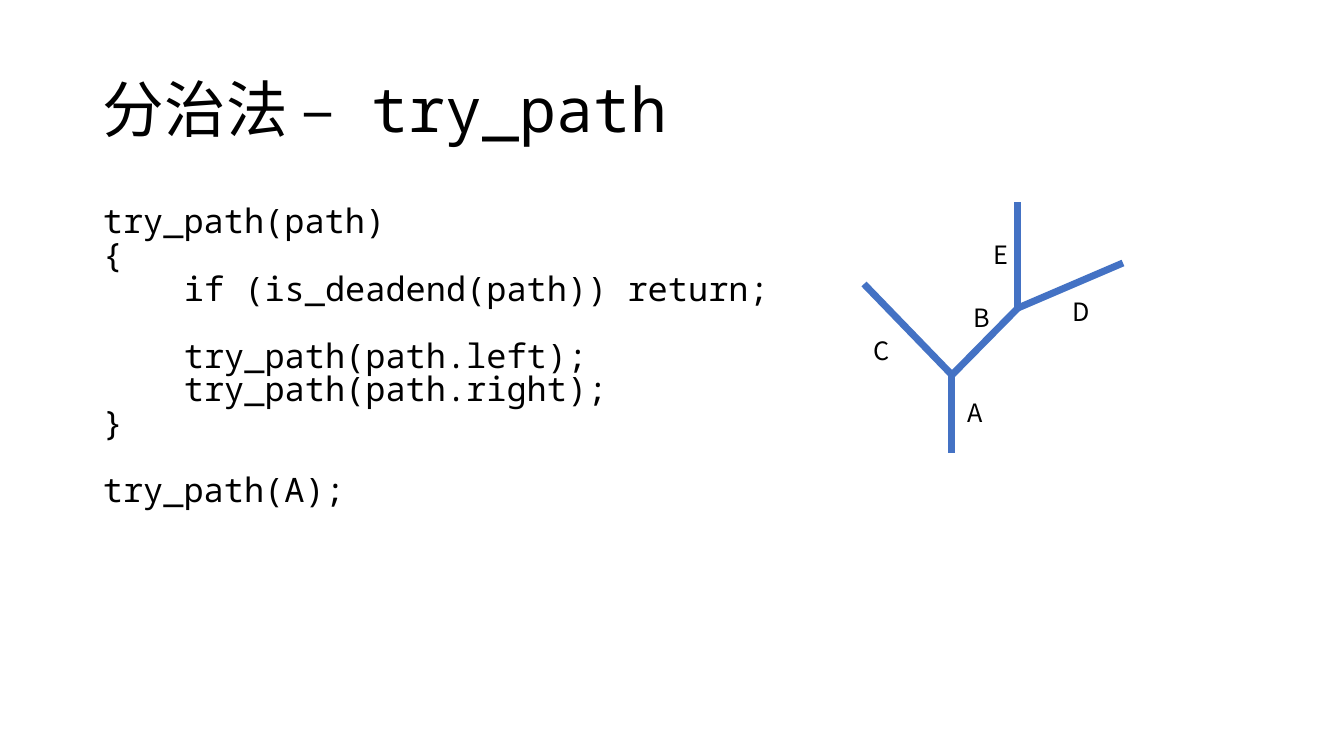
from lxml import etree
from pptx import Presentation
from pptx.dml.color import RGBColor
from pptx.enum.shapes import MSO_CONNECTOR
from pptx.enum.text import MSO_ANCHOR
from pptx.oxml.ns import qn
from pptx.util import Pt

PIXEL = 9071  # EMU in one pixel at 100.8 pixels to the inch
STRAIGHT = MSO_CONNECTOR.STRAIGHT
TOP, MIDDLE = MSO_ANCHOR.TOP, MSO_ANCHOR.MIDDLE
SANS, MONO = "Noto Sans CJK SC", "Noto Sans Mono"
BLACK, BLUE = "000000", "4472C4"
INDENT = 81  # four code characters

# Code lines: text, indent level, blank lines before
CODE = [
    ("try_path(path)", 0, 0),
    ("{", 0, 0),
    ("if (is_deadend(path)) return;", 1, 0),
    ("try_path(path.left);", 1, 1),
    ("try_path(path.right);", 1, 0),
    ("}", 0, 0),
    ("try_path(A);", 0, 1),
]

# Tree points and label corners, relative to the tree box
ROOT, FORK, UPPER_FORK = (88, 251), (88, 173), (154, 106)
BRANCHES = {
    "A": (ROOT, FORK, (94, 190)),
    "B": (FORK, UPPER_FORK, (100, 95)),
    "C": (FORK, (0, 82), (0, 128)),
    "D": (UPPER_FORK, (259, 61), (199, 89)),
    "E": (UPPER_FORK, (154, 0), (120, 32)),
}
LABEL_SIZE = 40


def px(pixels):
    return round(pixels * PIXEL)


def color(hex_string):
    return RGBColor.from_string(hex_string)


def add_text_frame(slide, box, anchor=TOP):
    frame = slide.shapes.add_textbox(*map(px, box)).text_frame
    frame.word_wrap = True
    frame.vertical_anchor = anchor
    return frame


def add_run(paragraph, text, font_name, size):
    run = paragraph.add_run()
    run.text = text
    font = run.font
    font.name, font.size = font_name, Pt(size)
    font.color.rgb = color(BLACK)
    east_asian = etree.SubElement(run._r.get_or_add_rPr(), qn("a:ea"))
    east_asian.set("typeface", font_name)


def add_title(slide, box):
    paragraph = add_text_frame(slide, box, MIDDLE).paragraphs[0]
    paragraph.line_spacing = 0.9
    add_run(paragraph, "分治法 –", SANS, 44)
    add_run(paragraph, " try_path", MONO, 44)


def add_code(slide, box):
    frame = add_text_frame(slide, box)
    for index, (text, level, blank_lines) in enumerate(CODE):
        paragraph = frame.add_paragraph() if index else frame.paragraphs[0]
        paragraph.line_spacing = Pt(24)
        paragraph.space_before = Pt(24 * blank_lines)
        paragraph._p.get_or_add_pPr().set("marL", str(px(INDENT * level)))
        add_run(paragraph, text, MONO, 24)


def add_branch(slide, start, end):
    branch = slide.shapes.add_connector(STRAIGHT, *map(px, start + end))
    branch.line.color.rgb = color(BLUE)
    branch.line.width = Pt(5)
    etree.SubElement(branch._element.spPr, qn("a:effectLst"))


def add_tree(slide, box):
    left, top = box[:2]

    def place(point):
        return left + point[0], top + point[1]

    # Branches
    for start, end, _ in BRANCHES.values():
        add_branch(slide, place(start), place(end))

    # Branch labels
    for name, (_, _, corner) in BRANCHES.items():
        frame = add_text_frame(slide, place(corner) + (LABEL_SIZE, LABEL_SIZE))
        add_run(frame.paragraphs[0], name, SANS, 18)


presentation = Presentation()
presentation.slide_width, presentation.slide_height = px(1344), px(756)
slide = presentation.slides.add_slide(presentation.slide_layouts[6])
add_title(slide, (93, 40, 1159, 146))
add_code(slide, (93, 202, 1159, 480))
add_tree(slide, (864, 202, 259, 251))
presentation.save("out.pptx")
